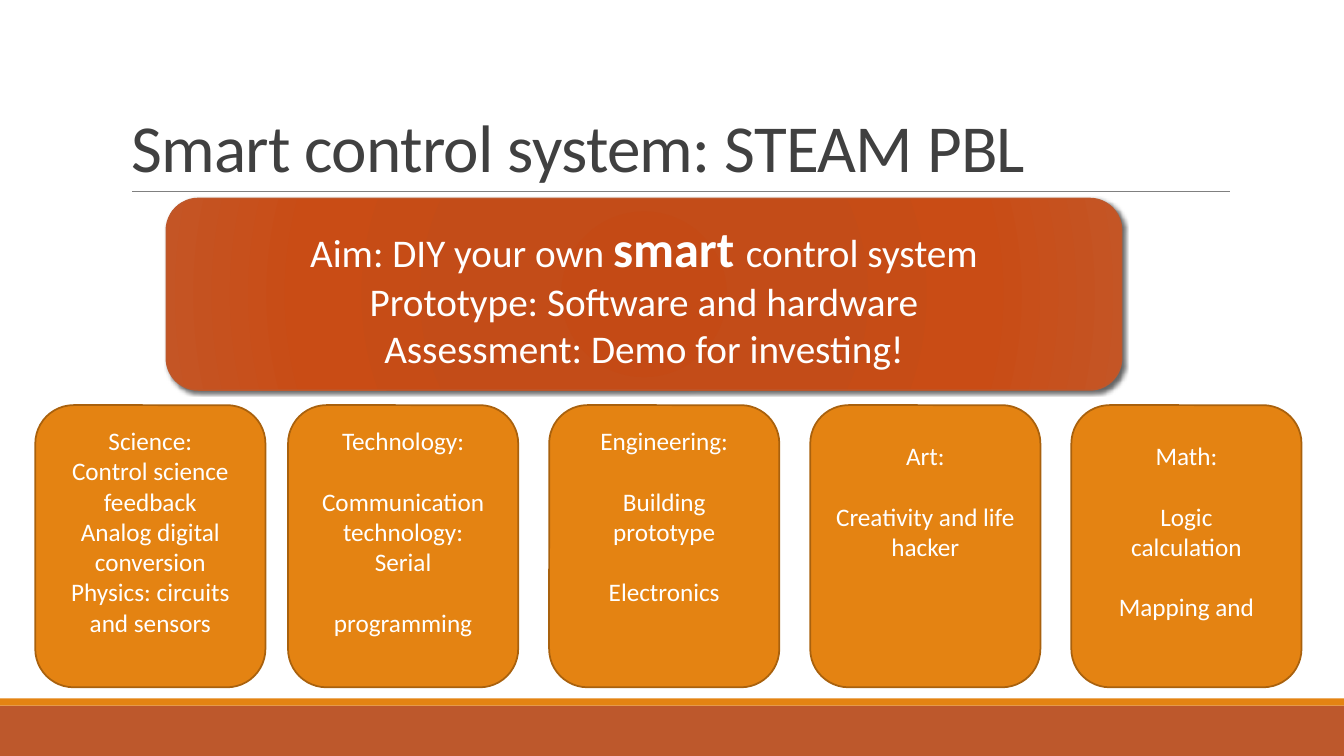
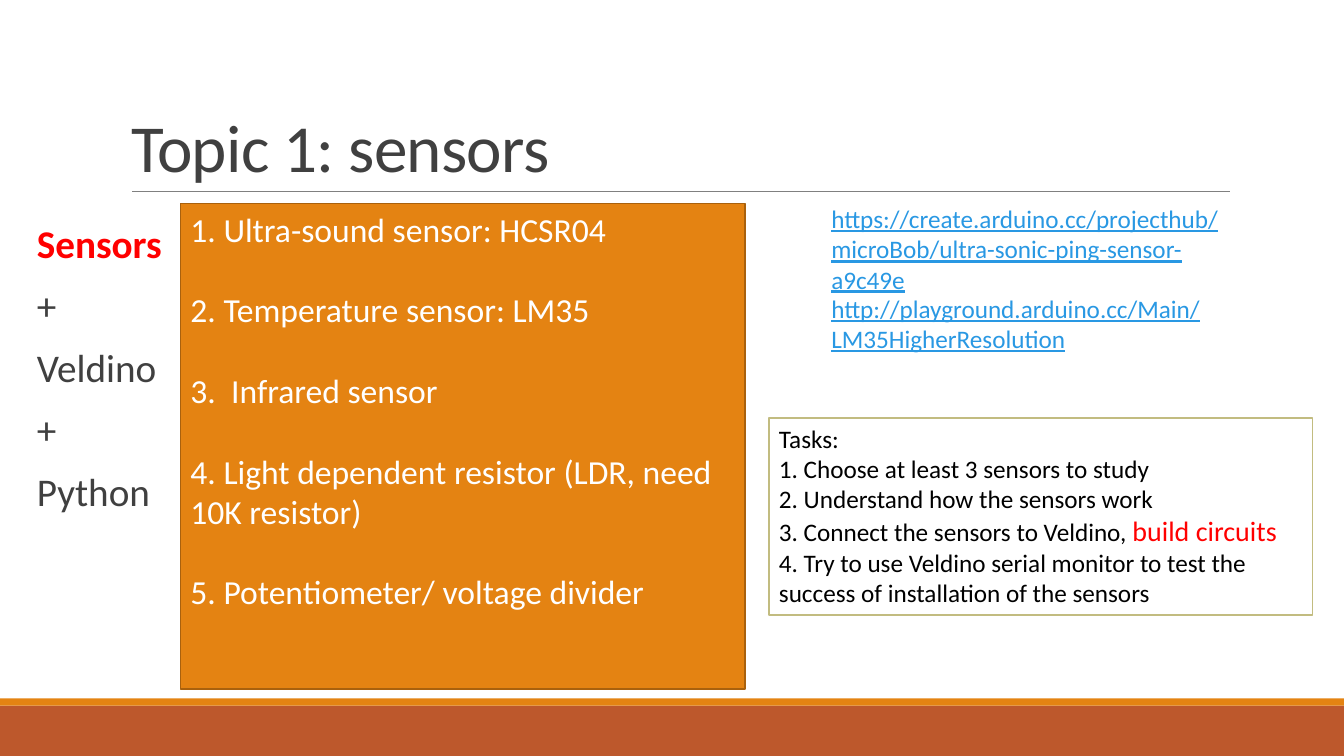
import pptx
import pptx.util
import pptx.dml.color
import pptx.enum.shapes
import pptx.enum.text
import pptx.oxml
import pptx.oxml.ns
from lxml import etree

Cm, Pt = pptx.util.Cm, pptx.util.Pt
RGBColor = pptx.dml.color.RGBColor
SHAPE = pptx.enum.shapes.MSO_SHAPE
ALIGN = pptx.enum.text.PP_ALIGN
ANCHOR = pptx.enum.text.MSO_ANCHOR
qn = pptx.oxml.ns.qn

# Colours and font
FONT = "Calibri"
WHITE = RGBColor(0xFF, 0xFF, 0xFF)
BLACK = RGBColor(0, 0, 0)
RED = RGBColor(0xFF, 0, 0)
CHARCOAL = RGBColor(0x40, 0x40, 0x40)
GREY = RGBColor(0x80, 0x80, 0x80)
ORANGE = RGBColor(0xE4, 0x83, 0x12)
DARK_ORANGE = RGBColor(0xA9, 0x61, 0x0D)
RUST = RGBColor(0xBD, 0x58, 0x2C)
OLIVE = RGBColor(0xC2, 0xBC, 0x80)
LINK_BLUE = RGBColor(0x29, 0x98, 0xE3)
AIM_GRADIENT = [(0, "C44A15"), (34, "C34C18"), (70, "C94C15"), (100, "C45525")]

# Shared frame: (top, height, colour) of the bands, in cm
SLIDE_W, SLIDE_H = 33.87, 19.05
BANDS = [(17.78, 1.27, RUST), (17.6, 0.18, ORANGE)]
RULE = (3.33, 31.0, 4.83)
TITLE_BOX = (3.05, 0.79, 27.94, 4.04)

# Content: a text is a list of paragraphs, a paragraph a list of (text, font changes)
AIM_TITLE = "Smart control system: STEAM PBL"
AIM = [
    [("Aim: DIY your own ", {}), ("smart ", {"size": Pt(36), "bold": True}),
     ("control system", {})],
    [("Prototype: Software and hardware", {})],
    [("Assessment: Demo for investing!", {})],
]

# Each subject: top inset in cm, then groups of lines set apart by a gap
SUBJECTS = [
    (0.23, [["Science:", "Control science", "feedback", "Analog digital conversion",
             "Physics: circuits and sensors"]]),
    (0.23, [["Technology:"], ["Communication technology:", "Serial"], ["programming"]]),
    (0.23, [["Engineering:"], ["Building prototype"], ["Electronics"]]),
    (0.61, [["Art:"], ["Creativity and life hacker"]]),
    (0.61, [["Math:"], ["Logic", "calculation"], ["Mapping and"]]),
]
CARD_LEFTS = [0.89] + [7.26 + 6.58 * i for i in range(4)]
CARD_TOP, CARD_W, CARD_H = 10.21, 5.8, 7.11

SENSORS_TITLE = "Topic 1: sensors"
TOOLCHAIN = [
    [("Sensors", {"color": RED, "bold": True})],
    [("+", {})], [("Veldino", {})], [("+", {})], [("Python", {})],
]
SENSORS = [
    "1. Ultra-sound sensor: HCSR04",
    "2. Temperature sensor: LM35",
    "3.  Infrared sensor",
    "4. Light dependent resistor (LDR, need 10K resistor)",
    "5. Potentiometer/ voltage divider",
]
LINKS = [
    ((20.7, 5.0, 10.92, 1.8),
     "https://create.arduino.cc/projecthub/microBob/ultra-sonic-ping-sensor-a9c49e"),
    ((20.7, 7.26, 11.61, 1.8), "http://playground.arduino.cc/Main/LM35HigherResolution"),
]
TASKS = [
    [("Tasks:", {})],
    [("1. Choose at least 3 sensors to study", {})],
    [("2. Understand how the sensors work", {})],
    [("3. Connect the sensors to Veldino, ", {}),
     ("build circuits", {"size": Pt(20), "color": RED})],
    [("4. Try to use Veldino serial monitor to test the success of installation "
      "of the sensors", {})],
]


def set_all(target, values):
    for name, value in values.items():
        setattr(target, name, value)


def write(frame, paragraphs, font, para=None, gaps=None, **frame_format):
    """Fill a text frame; gaps holds the space before each paragraph, in points."""
    set_all(frame, {"word_wrap": True, "vertical_anchor": ANCHOR.TOP, **frame_format})
    for i, runs in enumerate(paragraphs):
        paragraph = frame.paragraphs[0] if i == 0 else frame.add_paragraph()
        set_all(paragraph, {"alignment": ALIGN.LEFT, **(para or {})})
        if i and gaps and gaps[i]:
            paragraph.space_before = Pt(gaps[i])
        for text, changes in runs:
            run = paragraph.add_run()
            run.text = text
            look = {"name": FONT, **font, **changes}
            run.font.color.rgb = look.pop("color")
            set_all(run.font, look)


def plain(lines):
    return [[(line, {})] for line in lines]


def add_block(slide, kind, box, fill, line=None, width=1.25):
    block = slide.shapes.add_shape(kind, *map(Cm, box))
    block.shadow.inherit = False
    block.fill.solid()
    block.fill.fore_color.rgb = fill
    if line is None:
        block.line.fill.background()
    else:
        block.line.color.rgb = line
        block.line.width = Pt(width)
    return block


def add_text(slide, box, *args, **kwargs):
    write(slide.shapes.add_textbox(*map(Cm, box)).text_frame, *args, **kwargs)


def add_framed_slide(deck, heading):
    slide = deck.slides.add_slide(deck.slide_layouts[5])
    # Bottom bands and the rule under the title
    for top, height, colour in BANDS:
        add_block(slide, SHAPE.RECTANGLE, (0, top, SLIDE_W, height), colour)
    left, right, y = map(Cm, RULE)
    rule = slide.shapes.add_connector(
        pptx.enum.shapes.MSO_CONNECTOR.STRAIGHT, left, y, right, y)
    rule.line.color.rgb = GREY
    rule.line.width = Pt(0.5)
    etree.SubElement(rule.element.spPr, qn("a:effectLst"))
    # Title
    title = slide.shapes.title
    set_all(title, dict(zip(("left", "top", "width", "height"), map(Cm, TITLE_BOX))))
    write(title.text_frame, plain([heading]), {"size": Pt(48), "color": CHARCOAL},
          {"line_spacing": 0.85}, vertical_anchor=ANCHOR.BOTTOM,
          auto_size=pptx.enum.text.MSO_AUTO_SIZE.NONE)
    title.text_frame.paragraphs[0].runs[0].font._element.set("spc", "-50")
    return slide


def add_glow(block, stops):
    """Give a block a round gradient and a soft shadow."""
    ns = pptx.oxml.ns.nsdecls("a")
    stop_xml = "".join(
        f'<a:gs pos="{pos * 1000}"><a:srgbClr val="{colour}"/></a:gs>'
        for pos, colour in stops)
    gradient = pptx.oxml.parse_xml(
        f'<a:gradFill {ns} rotWithShape="1"><a:gsLst>{stop_xml}</a:gsLst>'
        '<a:path path="circle"><a:fillToRect l="100000" t="100000" r="100000" b="100000"/>'
        '</a:path></a:gradFill>')
    shadow = pptx.oxml.parse_xml(
        f'<a:outerShdw {ns} blurRad="{Pt(3)}" dist="{Pt(2)}" dir="2700000" '
        'algn="ctr" rotWithShape="0"><a:srgbClr val="000000"><a:alpha val="60000"/>'
        '</a:srgbClr></a:outerShdw>')
    props = block.element.spPr
    props.replace(props.find(qn("a:solidFill")), gradient)
    props.find(qn("a:effectLst")).append(shadow)


def build_aim_slide(deck):
    slide = add_framed_slide(deck, AIM_TITLE)
    centred = {"alignment": ALIGN.CENTER}
    aim = add_block(slide, SHAPE.ROUNDED_RECTANGLE, (4.19, 5.0, 24.08, 4.83), RUST, RUST, 1)
    add_glow(aim, AIM_GRADIENT)
    write(aim.text_frame, AIM, {"size": Pt(28), "color": WHITE}, centred,
          vertical_anchor=ANCHOR.MIDDLE)
    # Subject cards
    for left, (inset, groups) in zip(CARD_LEFTS, SUBJECTS):
        card = add_block(slide, SHAPE.ROUNDED_RECTANGLE,
                         (left, CARD_TOP, CARD_W, CARD_H), ORANGE, DARK_ORANGE)
        lines = [line for group in groups for line in group]
        gaps = [0 if i else 21.6 for group in groups for i in range(len(group))]
        write(card.text_frame, plain(lines), {"size": Pt(18), "color": WHITE}, centred,
              gaps, margin_top=Cm(inset))


def build_sensors_slide(deck):
    slide = add_framed_slide(deck, SENSORS_TITLE)
    # Toolchain column
    add_text(slide, (0.68, 5.54, 4.22, 11.18), TOOLCHAIN,
             {"size": Pt(28), "color": CHARCOAL},
             {"line_spacing": 0.9, "space_after": Pt(2)}, [12] * len(TOOLCHAIN),
             margin_left=Cm(0.25), margin_right=0)
    # Sensor list
    panel = add_block(slide, SHAPE.RECTANGLE, (4.55, 5.13, 14.22, 12.24),
                      ORANGE, DARK_ORANGE)
    write(panel.text_frame, plain(SENSORS), {"size": Pt(24), "color": WHITE},
          gaps=[28.8] * len(SENSORS))
    # Web addresses
    for box, address in LINKS:
        add_text(slide, box, plain([address]),
                 {"size": Pt(18), "color": LINK_BLUE, "underline": True})
    # Tasks
    tasks = add_block(slide, SHAPE.RECTANGLE, (19.38, 10.54, 13.7, 4.95), WHITE, OLIVE)
    write(tasks.text_frame, TASKS, {"size": Pt(18), "color": BLACK})


def main():
    deck = pptx.Presentation()
    deck.slide_width, deck.slide_height = Cm(SLIDE_W), Cm(SLIDE_H)
    build_aim_slide(deck)
    build_sensors_slide(deck)
    deck.save("out.pptx")


if __name__ == "__main__":
    main()
